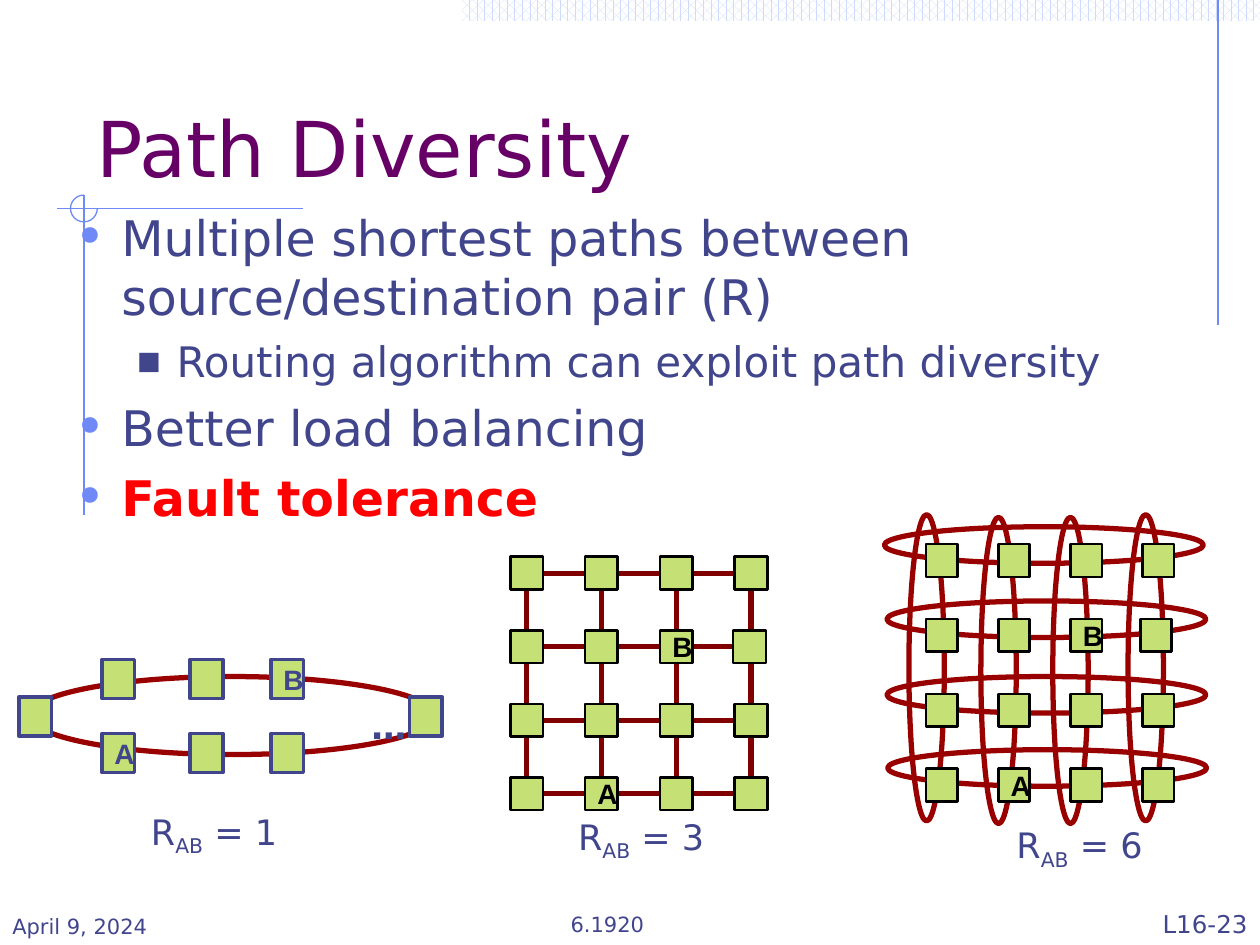
from dataclasses import dataclass, field

import pptx
import pptx.dml.color
import pptx.enum.dml
import pptx.enum.shapes
import pptx.enum.text
import pptx.oxml
import pptx.oxml.ns
import pptx.util

Pt = pptx.util.Pt
SHAPE = pptx.enum.shapes.MSO_SHAPE
ANCHOR = pptx.enum.text.MSO_ANCHOR
ALIGN = pptx.enum.text.PP_ALIGN

COLORS = {
    "text": "40458C", "title": "660066", "alert": "FF0000", "white": "FFFFFF",
    "accent": "6F89F7", "band": "CFDBFD", "node": "C5E176", "black": "000000",
    "mesh": "800000", "ring": "990000",
}
SANS = "DejaVu Sans"


@dataclass
class Bullet:
    text: str
    size: float
    indent: float
    hang: float
    mark: str
    mark_color: str
    mark_percent: int
    space_before: float
    color: str = "text"
    bold: bool = False


@dataclass
class Grid:
    """A 4 by 4 network; nudges shift single nodes sideways."""
    left: float
    top: float
    column_pitch: float
    row_pitch: float
    node_width: float
    node_height: float
    nudges: dict = field(default_factory=dict)


GRID_LABELS = {(1, 2): "B", (3, 1): "A"}  # (row, column)
SIDE = 4


def rgb(name: str) -> pptx.dml.color.RGBColor:
    return pptx.dml.color.RGBColor.from_string(COLORS[name])


def add_run(paragraph, text: str, size: float, color: str = "text",
            bold: bool = False, font: str = SANS, baseline: int = 0) -> None:
    run = paragraph.add_run()
    run.text = text
    run.font.size = Pt(size)
    run.font.name = font
    run.font.bold = bold
    run.font.color.rgb = rgb(color)
    if baseline:
        run.font._element.set("baseline", str(baseline * 1000))


def add_frame(slide, left: float, top: float, width: float, height: float,
              anchor=ANCHOR.TOP):
    frame = slide.shapes.add_textbox(Pt(left), Pt(top), Pt(width), Pt(height)).text_frame
    frame.word_wrap = True
    frame.vertical_anchor = anchor
    return frame


def add_line(slide, x1: float, y1: float, x2: float, y2: float,
             color: str, weight: float) -> None:
    line = slide.shapes.add_connector(
        pptx.enum.shapes.MSO_CONNECTOR.STRAIGHT, Pt(x1), Pt(y1), Pt(x2), Pt(y2))
    line.line.color.rgb = rgb(color)
    line.line.width = Pt(weight)
    line._element.spPr.append(pptx.oxml.parse_xml(
        f"<a:effectLst {pptx.oxml.ns.nsdecls('a')}/>"))


def add_outline(slide, preset, left: float, top: float, width: float, height: float,
                color: str, weight: float):
    shape = slide.shapes.add_shape(preset, Pt(left), Pt(top), Pt(width), Pt(height))
    shape.shadow.inherit = False
    shape.fill.background()
    shape.line.color.rgb = rgb(color)
    shape.line.width = Pt(weight)
    return shape


def add_node(slide, left: float, top: float, width: float, height: float,
             color: str, weight: float, label: str = "") -> None:
    node = add_outline(slide, SHAPE.RECTANGLE, left, top, width, height, color, weight)
    node.fill.solid()
    node.fill.fore_color.rgb = rgb("node")
    if label:
        node.text_frame.vertical_anchor = ANCHOR.MIDDLE
        paragraph = node.text_frame.paragraphs[0]
        paragraph.alignment = ALIGN.CENTER
        add_run(paragraph, label, 16, color, bold=True, font="Arial")


def add_grid_nodes(slide, grid: Grid) -> None:
    for row in range(SIDE):
        for column in range(SIDE):
            place = (row, column)
            add_node(slide,
                     grid.left + column * grid.column_pitch + grid.nudges.get(place, 0),
                     grid.top + row * grid.row_pitch,
                     grid.node_width, grid.node_height, "black", 1.5,
                     GRID_LABELS.get(place, ""))


def add_bullets(frame, bullets: list[Bullet]) -> None:
    for index, bullet in enumerate(bullets):
        paragraph = frame.add_paragraph() if index else frame.paragraphs[0]
        if index:
            paragraph.space_before = Pt(bullet.space_before)
        properties = paragraph._p.get_or_add_pPr()
        properties.set("marL", str(Pt(bullet.indent)))
        properties.set("indent", str(-Pt(bullet.hang)))
        for tag, body in (
            ("buClr", f'><a:srgbClr val="{COLORS[bullet.mark_color]}"/></a:buClr>'),
            ("buSzPct", f' val="{bullet.mark_percent * 1000}"/>'),
            ("buFont", f' typeface="{SANS}"/>'),
            ("buChar", f' char="{bullet.mark}"/>'),
        ):
            properties.append(pptx.oxml.parse_xml(
                f"<a:{tag} {pptx.oxml.ns.nsdecls('a')}{body}"))
        add_run(paragraph, bullet.text, bullet.size, bullet.color, bullet.bold)


def top_bullet(text: str, **style) -> Bullet:
    return Bullet(text, 28, 27, 27, "•", "accent", 110, 6.5, **style)


def add_decoration(slide) -> None:
    band = add_outline(slide, SHAPE.RECTANGLE, 264, 0, 456, 12, "band", 0.75)
    band.line.fill.background()
    band.fill.patterned()
    band.fill.pattern = pptx.enum.dml.MSO_PATTERN.PERCENT_60
    band.fill.fore_color.rgb = rgb("band")
    band.fill.back_color.rgb = rgb("white")
    for ends in ((696, 0, 696, 186), (173, 119.3, 32.5, 119.3), (48, 111.5, 48, 294.5)):
        add_line(slide, *ends, "accent", 0.75)
    arc = add_outline(slide, SHAPE.ARC, 40.3, 111.5, 15.3, 15.3, "accent", 0.75)
    arc.adjustments[0] = 0
    arc.adjustments[1] = 162  # 270 degrees


def add_mesh(slide) -> None:
    mesh = Grid(291.6, 318.2, 42.75, 42, 18.7, 18.7, {(1, 3): -0.9})
    right = mesh.left + (SIDE - 1) * mesh.column_pitch
    bottom = mesh.top + (SIDE - 1) * mesh.row_pitch
    for i in range(SIDE):
        x = mesh.left + i * mesh.column_pitch + mesh.node_width / 2
        y = mesh.top + i * mesh.row_pitch + mesh.node_height / 2
        add_line(slide, mesh.left + mesh.node_width, y, right, y, "mesh", 3)
        add_line(slide, x, mesh.top + mesh.node_height, x, bottom, "mesh", 3)
    add_grid_nodes(slide, mesh)


def add_torus(slide) -> None:
    for left, top in ((505.4, 301), (506.9, 343.4), (506.9, 386.6), (507.3, 428.4)):
        add_outline(slide, SHAPE.OVAL, left, top, 182.2, 20.9, "ring", 3)
    for left, top in ((442, 371.5), (483.1, 373), (524.2, 373), (567.2, 371.5)):
        add_outline(slide, SHAPE.OVAL, left, top, 175, 20.2, "ring", 3).rotation = 270
    add_grid_nodes(slide, Grid(529.2, 311, 41.25, 42.75, 18, 18.7, {(1, 3): -1.4}))


def add_ring(slide) -> None:
    add_outline(slide, SHAPE.OVAL, 16.6, 386.6, 231.8, 44.6, "ring", 3)
    upper, middle, lower = 376.8, 398.2, 419.2
    for left, top, label in (
        (10.8, middle, ""), (58.3, upper, ""), (108.7, upper, ""), (58.3, lower, "A"),
        (108.7, lower, ""), (234, middle, ""), (154.8, upper, "B"), (154.8, lower, ""),
    ):
        add_node(slide, left, top, 18.7, 22.3, "text", 2, label)
    add_run(add_frame(slide, 205.2, 398.9, 17.3, 20.9).paragraphs[0], "…", 20, bold=True)


def main() -> None:
    deck = pptx.Presentation()
    deck.slide_width, deck.slide_height = Pt(720), Pt(540)
    slide = deck.slides.add_slide(deck.slide_layouts[6])
    add_decoration(slide)

    # Title and bullets
    title = add_frame(slide, 48, 24, 612, 90, ANCHOR.BOTTOM)
    add_run(title.paragraphs[0], "Path Diversity", 44, "title")
    add_bullets(add_frame(slide, 35.3, 115.2, 653.8, 221), [
        top_bullet("Multiple shortest paths between source/destination pair (R)"),
        Bullet("Routing algorithm can exploit path diversity",
               24, 58.5, 22.5, "■", "text", 60, 5.6),
        top_bullet("Better load balancing"),
        top_bullet("Fault tolerance", color="alert", bold=True),
    ])

    # Networks and their path counts
    add_mesh(slide)
    add_torus(slide)
    add_ring(slide)
    for left, top, count in ((79.2, 459.4, 1), (323.3, 462.2, 3), (573.8, 467.3, 6)):
        formula = add_frame(slide, left, top, 96.5, 28.8).paragraphs[0]
        add_run(formula, "R", 20)
        add_run(formula, "AB", 20, baseline=-25)
        add_run(formula, f" = {count}", 20)

    # Footer
    for left, top, text, size, align in (
        (0, 504, "April 9, 2024", 12, ALIGN.LEFT),
        (319, 502.6, "6.1920", 12, ALIGN.LEFT),
        (570, 504, "L16-23", 14, ALIGN.RIGHT),
    ):
        footer = add_frame(slide, left, top, 150, 36, ANCHOR.BOTTOM).paragraphs[0]
        footer.alignment = align
        add_run(footer, text, size)

    deck.save("out.pptx")


if __name__ == "__main__":
    main()
